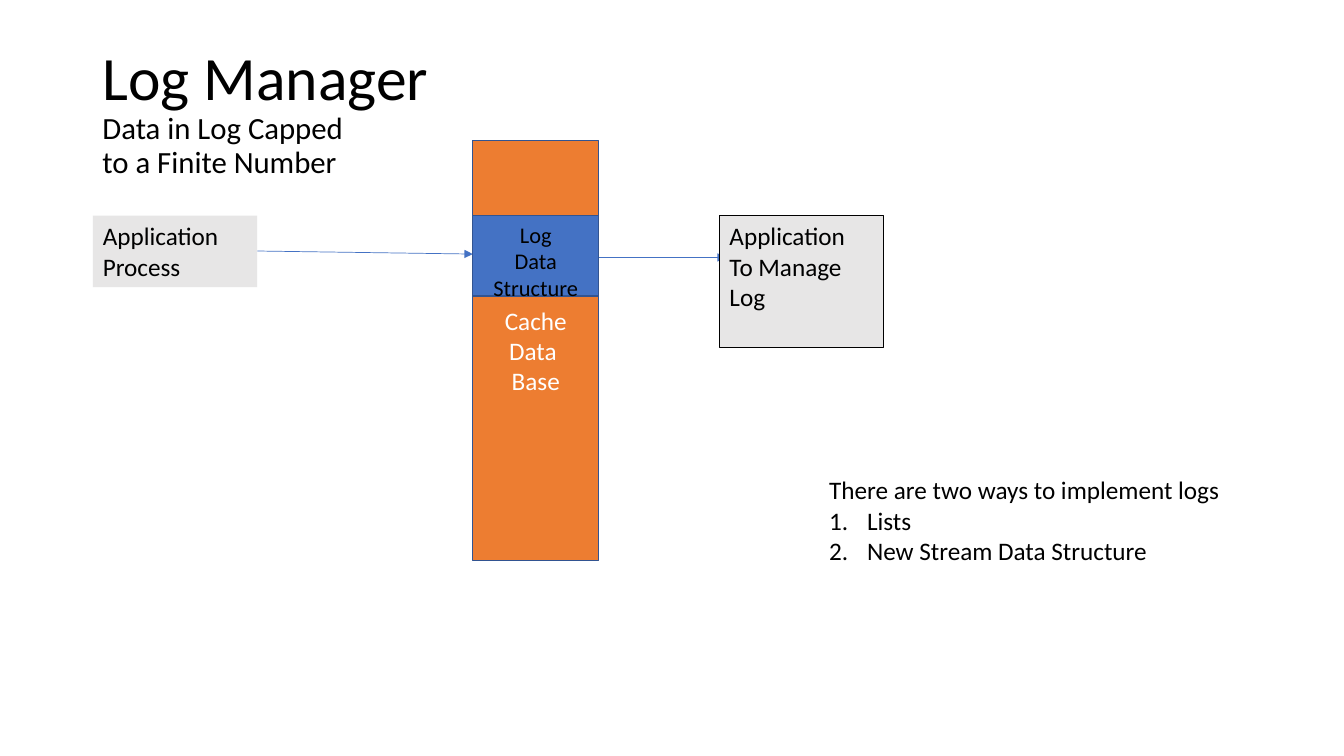
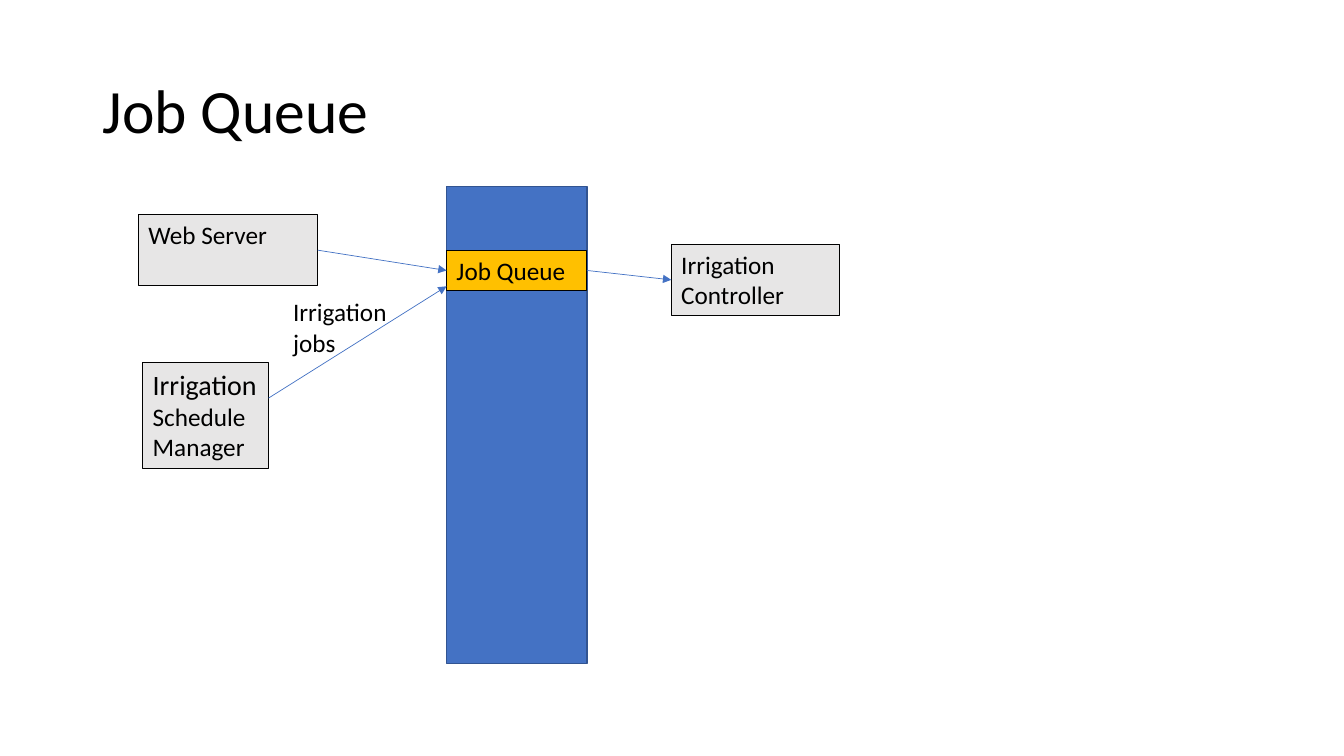
from lxml.etree import SubElement
from pptx import Presentation
from pptx.dml.color import RGBColor
from pptx.enum.shapes import MSO_CONNECTOR, MSO_SHAPE
from pptx.enum.text import MSO_ANCHOR, MSO_AUTO_SIZE, PP_ALIGN
from pptx.oxml.ns import qn
from pptx.util import Pt

COLORS = {
    "black": "000000", "white": "FFFFFF", "grey": "E7E6E6", "orange": "ED7D31",
    "blue": "4472C4", "navy": "325491", "gold": "FFC000",
}
FONT = "Calibri"
LEFT, CENTER = PP_ALIGN.LEFT, PP_ALIGN.CENTER
TOP, MIDDLE = MSO_ANCHOR.TOP, MSO_ANCHOR.MIDDLE

STYLES = {
    "plain": {"fill": "grey"},
    "process": {"fill": "grey", "line": "black", "width": 0.75},
    "queue": {"fill": "gold", "line": "black", "width": 0.75},
    "database": {"fill": "orange", "line": "navy", "width": 1, "ink": "white",
                 "align": CENTER, "anchor": MIDDLE},
    "store": {"fill": "blue", "line": "navy", "width": 1},
    "note": {},
    "caption": {"align": CENTER, "size": 16},
}


def rgb(name):
    return RGBColor.from_string(COLORS[name])


def add_box(slide, style, place, lines=(), lead=None, wrap=True, numbered=False):
    look = STYLES[style]
    place = [Pt(length) for length in place]
    if "fill" in look:
        box = slide.shapes.add_shape(MSO_SHAPE.RECTANGLE, *place)
        box.shadow.inherit = False
        box.fill.solid()
        box.fill.fore_color.rgb = rgb(look["fill"])
        if "line" in look:
            box.line.color.rgb = rgb(look["line"])
            box.line.width = Pt(look["width"])
        else:
            box.line.fill.background()
    else:
        box = slide.shapes.add_textbox(*place)
    frame = box.text_frame
    settings = {"word_wrap": wrap, "auto_size": MSO_AUTO_SIZE.NONE,
                "vertical_anchor": look.get("anchor", TOP)}
    for key, value in settings.items():
        setattr(frame, key, value)
    frame.text = "\n".join(lines)
    size = look.get("size", 18)
    for index, paragraph in enumerate(frame.paragraphs):
        paragraph.alignment = look.get("align", LEFT)
        for run in paragraph.runs:
            run.font.name = FONT
            run.font.size = Pt(lead if lead and index == 0 else size)
            run.font.color.rgb = rgb(look.get("ink", "black"))
        if numbered and index > 0:
            properties = paragraph._p.get_or_add_pPr()
            properties.set("marL", str(Pt(27)))
            properties.set("indent", str(Pt(-27)))
            SubElement(properties, qn("a:buAutoNum"), type="arabicPeriod")


def add_arrow(slide, *ends):
    arrow = slide.shapes.add_connector(MSO_CONNECTOR.STRAIGHT, *[Pt(end) for end in ends])
    arrow.line.color.rgb = rgb("blue")
    arrow.line.width = Pt(0.5)
    SubElement(arrow.line._get_or_add_ln(), qn("a:tailEnd"), type="triangle")
    SubElement(arrow._element.spPr, qn("a:effectLst"))


deck = Presentation()
deck.slide_width, deck.slide_height = Pt(960), Pt(540)

TITLES = [
    [("Log Manager", 44), ("Data in Log Capped", 22), ("to a Finite Number", 22)],
    [("Job Queue", 44)],
]
slides = []
for title_lines in TITLES:
    slide = deck.slides.add_slide(deck.slide_layouts[5])
    slides.append(slide)
    title = slide.shapes.title
    place = {"left": 66, "top": 28.8, "width": 828, "height": 104.4}
    for key, value in place.items():
        setattr(title, key, Pt(value))
    title.text_frame.auto_size = MSO_AUTO_SIZE.NONE
    title.text_frame.vertical_anchor = MIDDLE
    title.text_frame.word_wrap = True
    heading = title.text_frame.paragraphs[0]
    heading.alignment = LEFT
    heading.line_spacing = 0.9
    for index, (text, size) in enumerate(title_lines):
        if index:
            heading.add_line_break()
            SubElement(heading._p[-1], qn("a:rPr"), sz=str(title_lines[index - 1][1] * 100))
        run = heading.add_run()
        run.text = text
        run.font.name = FONT
        run.font.size = Pt(size)
        run.font.color.rgb = rgb("black")

log_manager, job_queue = slides

add_box(log_manager, "plain", (66.4, 154.1, 117.4, 51), ["Application", "Process"])
add_box(log_manager, "database", (337.7, 100.2, 90, 300.4), ["Cache", "Data ", "Base"])
add_arrow(log_manager, 183.8, 179.3, 337.7, 181.5)
add_arrow(log_manager, 427.7, 183.9, 518.4, 183.9)
add_box(log_manager, "process", (514, 154.1, 117.4, 94.5), ["Application", "To Manage", "Log"])
add_box(log_manager, "store", (337.7, 154.1, 90, 57.3))
add_box(log_manager, "caption", (344.9, 154.1, 75.6, 65.5), ["Log", "Data", "Structure"], wrap=False)
add_box(log_manager, "note", (585.2, 335.5, 296.6, 72.7),
        ["There are two ways to implement logs", "Lists", "New Stream Data Structure"],
        wrap=False, numbered=True)

add_box(job_queue, "process", (99, 153.1, 128, 51), ["Web Server"])
add_box(job_queue, "process", (102, 259, 90, 75.4), ["Irrigation", "Schedule", "Manager"],
        lead=20, wrap=False)
add_box(job_queue, "store", (319, 133.2, 100.3, 340.6))
add_box(job_queue, "queue", (319, 178.8, 100.3, 29), ["Job Queue"])
add_arrow(job_queue, 227, 178.7, 319, 193.2)
add_arrow(job_queue, 191.8, 284.4, 319, 204.5)
add_box(job_queue, "note", (202.3, 208.3, 90.7, 51), ["Irrigation", "jobs"])
add_box(job_queue, "process", (479.5, 174.5, 120.5, 51), ["Irrigation", "Controller"])
add_arrow(job_queue, 419.3, 193.2, 479.5, 199.9)

deck.save("out.pptx")
